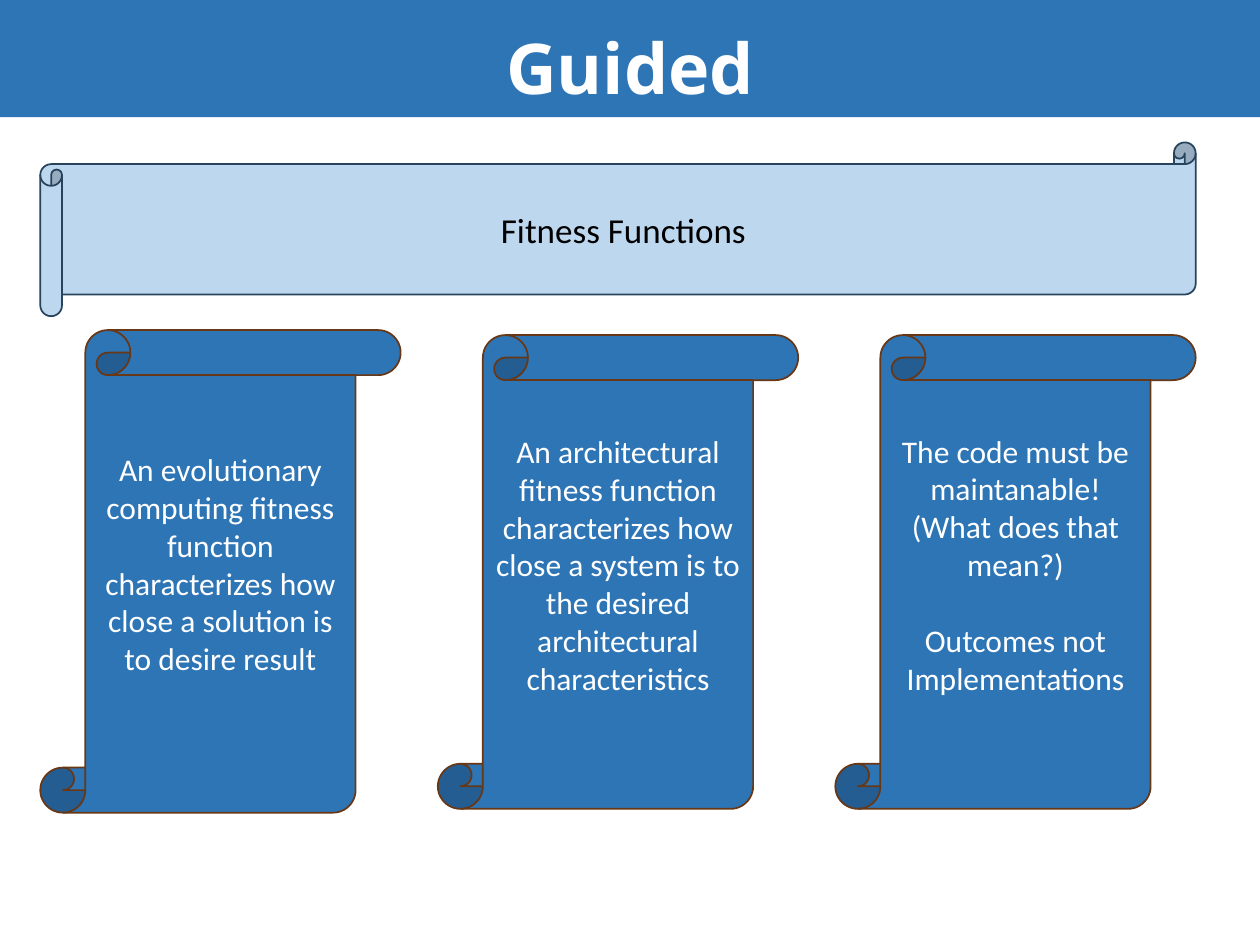
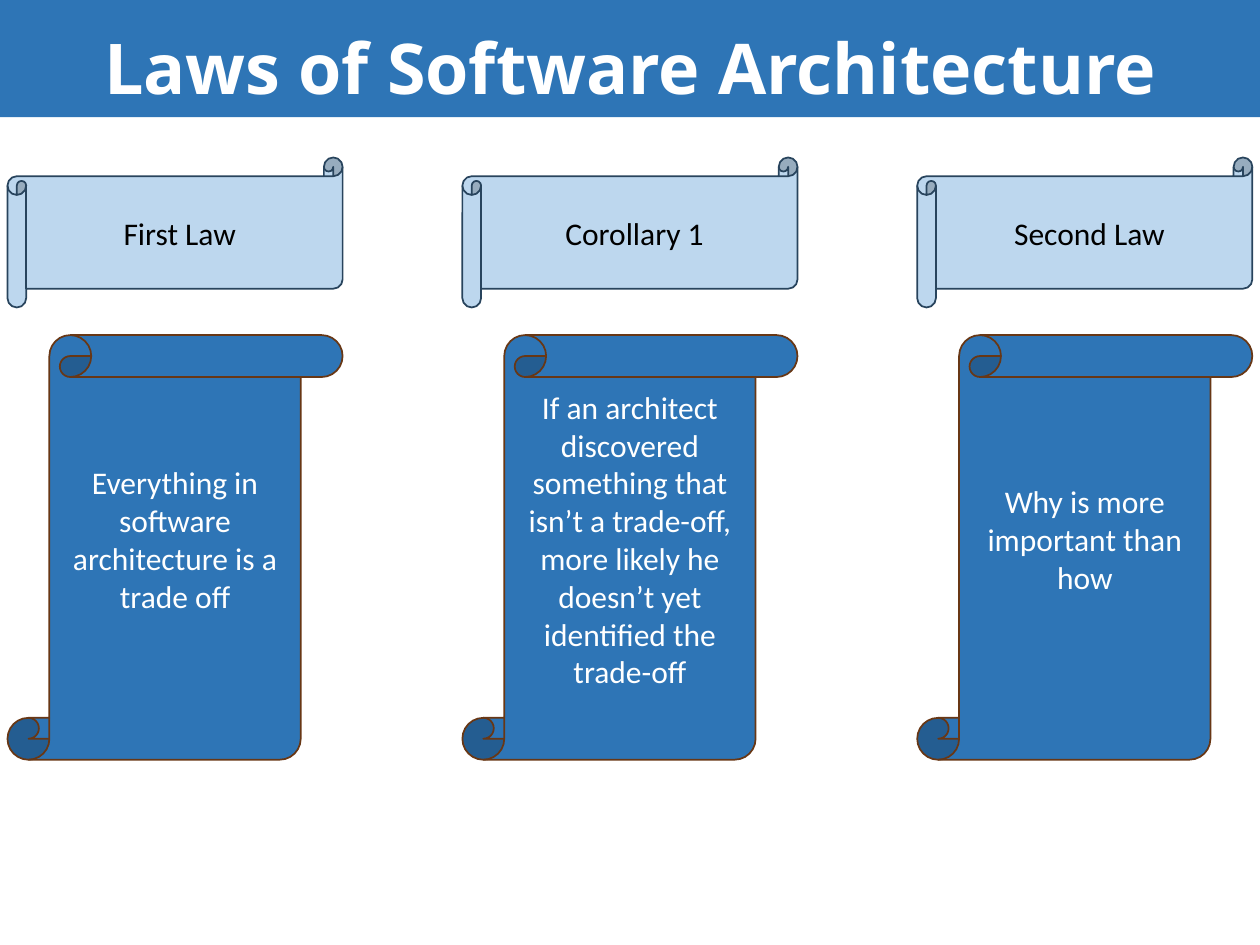
from pptx import Presentation
from pptx.dml.color import RGBColor
from pptx.enum.shapes import MSO_SHAPE
from pptx.enum.text import MSO_ANCHOR, PP_ALIGN
from pptx.util import Inches, Pt

RECTANGLE = MSO_SHAPE.RECTANGLE
BANNER = MSO_SHAPE.HORIZONTAL_SCROLL
SCROLL = MSO_SHAPE.VERTICAL_SCROLL
MIDDLE = MSO_ANCHOR.MIDDLE
CENTER = PP_ALIGN.CENTER

COLORS = {
    "band": "2E75B6",
    "banner": "BDD7EE",
    "banner_line": "28445D",
    "scroll_line": "683715",
    "light_text": "FFFFFF",
    "dark_text": "000000",
}
TITLE_FONT = {"name": "Open Sans", "size": Pt(40), "bold": True}
BODY_FONT = {"name": "Calibri", "size": Pt(18)}
BODY_LINE = Pt(22)
SCROLL_BOTTOM_MARGIN = Inches(0.35)


def rgb(name):
    return RGBColor.from_string(COLORS[name])


def add_panel(slide, kind, box, fill, line, paragraphs, font, text_color):
    """Add a filled shape with centred text; box is left, top, width, height in inches."""
    panel = slide.shapes.add_shape(kind, *map(Inches, box))
    panel.shadow.inherit = False
    panel.fill.solid()
    panel.fill.fore_color.rgb = rgb(fill)
    if line:
        panel.line.color.rgb = rgb(line)
        panel.line.width = Pt(1)
    else:
        panel.line.fill.background()
    frame = panel.text_frame
    frame.word_wrap = True
    frame.vertical_anchor = MIDDLE
    for index, text in enumerate(paragraphs):
        paragraph = frame.paragraphs[0] if index == 0 else frame.add_paragraph()
        paragraph.alignment = CENTER
        run = paragraph.add_run()
        run.text = text
        for attribute, value in font.items():
            setattr(run.font, attribute, value)
        run.font.color.rgb = rgb(text_color)
    return frame


def add_titled_slide(prs, title):
    slide = prs.slides.add_slide(prs.slide_layouts[6])
    frame = add_panel(slide, RECTANGLE, (0, 0, 10, 0.93), "band", None,
                      [title], TITLE_FONT, "light_text")
    frame.paragraphs[0].line_spacing = 1.2
    return slide


def add_banner(slide, box, heading, size=18):
    add_panel(slide, BANNER, box, "banner", "banner_line", [heading],
              {**BODY_FONT, "size": Pt(size)}, "dark_text")


def add_scroll(slide, box, *paragraphs):
    frame = add_panel(slide, SCROLL, box, "band", "scroll_line", paragraphs,
                      BODY_FONT, "light_text")
    frame.margin_bottom = SCROLL_BOTTOM_MARGIN
    return frame


def build_guided(prs):
    slide = add_titled_slide(prs, "Guided")
    left, width, scroll_width = 0.32, 9.17, 2.86
    pitch = (width - scroll_width) / 2
    add_banner(slide, (left, 1.13, width, 1.38), "Fitness Functions", 20)
    add_scroll(slide, (left, 2.62, scroll_width, 3.83),
               "An evolutionary computing fitness function characterizes "
               "how close a solution is to desire result")
    add_scroll(slide, (left + pitch, 2.66, scroll_width, 3.76),
               "An architectural fitness function characterizes how close "
               "a system is to the desired architectural characteristics")
    maintainability = add_scroll(
        slide, (left + 2 * pitch, 2.66, scroll_width, 3.76),
        "The code must be maintanable!", "(What does that mean?)",
        "Outcomes not Implementations")
    maintainability.paragraphs[2].space_before = BODY_LINE


def build_laws(prs):
    slide = add_titled_slide(prs, "Laws of Software Architecture")
    left, width, pitch = 0.06, 2.66, 3.61
    laws = [
        ("First Law", "Everything in software architecture is a trade off"),
        ("Corollary 1", "If an architect discovered something that isn’t a trade-off, "
                        "more likely he doesn’t yet identified the trade-off"),
        ("Second Law", "Why is more important than how"),
    ]
    for column, (heading, statement) in enumerate(laws):
        x = left + column * pitch
        add_banner(slide, (x, 1.25, width, 1.19), heading)
        add_scroll(slide, (x, 2.66, width, 3.37), statement)


def main():
    prs = Presentation()
    prs.slide_width = Inches(10)
    prs.slide_height = Inches(7.5)
    build_guided(prs)
    build_laws(prs)
    prs.save("out.pptx")


if __name__ == "__main__":
    main()
